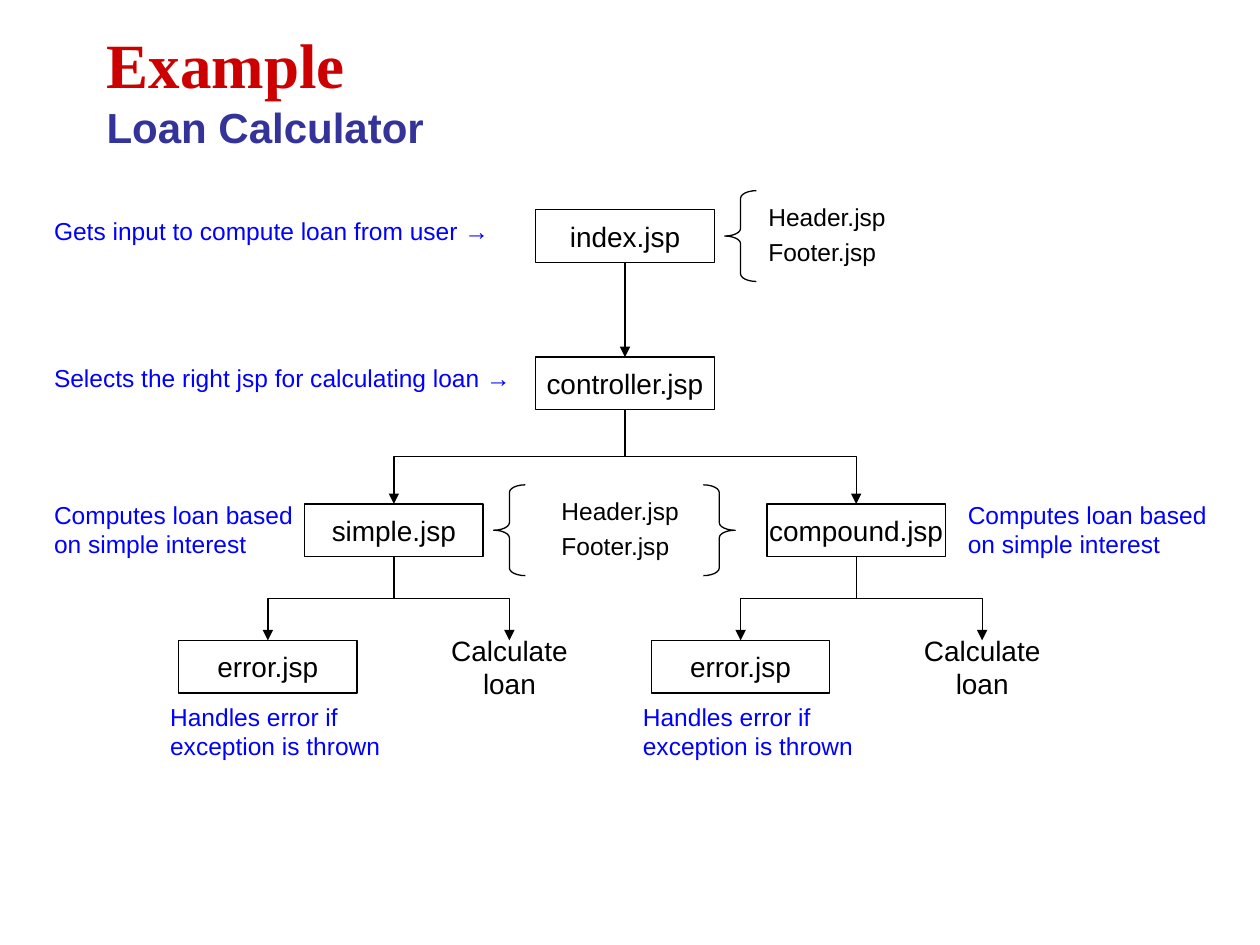
from lxml.etree import SubElement
from pptx import Presentation
from pptx.dml.color import RGBColor
from pptx.enum.shapes import MSO_CONNECTOR, MSO_SHAPE
from pptx.enum.text import MSO_ANCHOR, MSO_AUTO_SIZE, PP_ALIGN
from pptx.oxml.ns import qn
from pptx.util import Cm, Pt

BLACK = RGBColor(0x00, 0x00, 0x00)
BLUE = RGBColor(0x00, 0x00, 0xFF)
RED = RGBColor(0xCC, 0x00, 0x00)
INDIGO = RGBColor(0x33, 0x33, 0x99)

LINE_WIDTH = Pt(0.74)
BOX_WIDTH, BOX_HEIGHT = 3.6, 1.06
BRACE_WIDTH, BRACE_HEIGHT = 0.64, 1.83
INDEX_TOP, CONTROLLER_TOP, LOAN_TOP, RESULT_TOP = 4.23, 7.2, 10.16, 12.91
CENTER = 12.6
BRANCH_OFFSET = 4.66


def format_run(run, size, color, font_name="Arial", bold=False):
    run.font.name = font_name
    run.font.size = Pt(size)
    run.font.bold = bold
    run.font.color.rgb = color


def format_outline(shape):
    shape.fill.background()
    shape.line.color.rgb = BLACK
    shape.line.width = LINE_WIDTH
    shape.shadow.inherit = False


def add_title(slide):
    shape = slide.shapes.add_textbox(Cm(1.9), Cm(0.2), Cm(21.6), Cm(3.18))
    text_frame = shape.text_frame
    text_frame.word_wrap = True
    text_frame.vertical_anchor = MSO_ANCHOR.MIDDLE
    paragraph = text_frame.paragraphs[0]
    paragraph.text = "Example\vLoan Calculator"
    heading, subheading = paragraph.runs
    format_run(heading, 36, RED, "Times New Roman", True)
    format_run(subheading, 24, INDIGO, bold=True)


def add_step(slide, center, top, text, outlined=True):
    place = Cm(center - BOX_WIDTH / 2), Cm(top), Cm(BOX_WIDTH), Cm(BOX_HEIGHT)
    if outlined:
        shape = slide.shapes.add_shape(MSO_SHAPE.RECTANGLE, *place)
        format_outline(shape)
    else:
        shape = slide.shapes.add_textbox(*place)
    text_frame = shape.text_frame
    text_frame.text = text
    text_frame.word_wrap = False
    text_frame.vertical_anchor = MSO_ANCHOR.MIDDLE
    paragraph = text_frame.paragraphs[0]
    paragraph.alignment = PP_ALIGN.CENTER
    paragraph.space_before = Pt(4)
    format_run(paragraph.runs[0], 16, BLACK)


def add_note(slide, left, top, width, height, text, color=BLUE, wrap=True):
    shape = slide.shapes.add_textbox(Cm(left), Cm(top), Cm(width), Cm(height))
    text_frame = shape.text_frame
    text_frame.text = text
    text_frame.word_wrap = wrap
    text_frame.auto_size = MSO_AUTO_SIZE.SHAPE_TO_FIT_TEXT
    for paragraph in text_frame.paragraphs:
        paragraph.space_before = Pt(3.5)
        format_run(paragraph.runs[0], 14, color)


def add_includes(slide, left, top):
    add_note(slide, left, top, 2.9, 1.57, "Header.jsp\nFooter.jsp", BLACK, False)


def add_brace(slide, kind, left, box_top):
    top = box_top + (BOX_HEIGHT - BRACE_HEIGHT) / 2
    shape = slide.shapes.add_shape(
        kind, Cm(left), Cm(top), Cm(BRACE_WIDTH), Cm(BRACE_HEIGHT))
    shape.adjustments[0] = 0.24
    format_outline(shape)


def format_arrow(connector):
    connector.line.color.rgb = BLACK
    connector.line.width = LINE_WIDTH
    properties = connector.line._get_or_add_ln()
    SubElement(properties, qn("a:tailEnd"), type="triangle")
    SubElement(connector._element.spPr, qn("a:effectLst"))


def add_straight_arrow(slide, center, top, bottom):
    connector = slide.shapes.add_connector(
        MSO_CONNECTOR.STRAIGHT, Cm(center), Cm(top), Cm(center), Cm(bottom))
    format_arrow(connector)


def add_elbow_arrow(slide, start, top, end, bottom):
    middle_x, middle_y = (start + end) / 2, (top + bottom) / 2
    half_drop = (bottom - top) / 2
    half_span = abs(end - start) / 2
    direction = 1 if end < start else -1
    connector = slide.shapes.add_connector(
        MSO_CONNECTOR.ELBOW,
        Cm(middle_x - direction * half_drop), Cm(middle_y - half_span),
        Cm(middle_x + direction * half_drop), Cm(middle_y + half_span))
    rotation = 90 if direction == 1 else 270
    connector._element.spPr.xfrm.set("rot", str(rotation * 60000))
    format_arrow(connector)


def add_loan_branch(slide, center, name, error_offset, result_offset):
    add_step(slide, center, LOAN_TOP, name)
    add_elbow_arrow(slide, CENTER, CONTROLLER_TOP + BOX_HEIGHT, center, LOAN_TOP)
    error_center = center + error_offset
    result_center = center + result_offset
    add_step(slide, error_center, RESULT_TOP, "error.jsp")
    add_step(slide, result_center, RESULT_TOP, "Calculate loan", False)
    for end in (error_center, result_center):
        add_elbow_arrow(slide, center, LOAN_TOP + BOX_HEIGHT, end, RESULT_TOP)
    add_note(slide, error_center - 2.22, 14.02, 5.5, 1.45,
             "Handles error if exception is thrown")


def main():
    presentation = Presentation()
    presentation.slide_width = Cm(25.4)
    presentation.slide_height = Cm(19.05)
    slide = presentation.slides.add_slide(presentation.slide_layouts[6])

    add_title(slide)
    add_step(slide, CENTER, INDEX_TOP, "index.jsp")
    add_step(slide, CENTER, CONTROLLER_TOP, "controller.jsp")
    add_straight_arrow(slide, CENTER, INDEX_TOP + BOX_HEIGHT, CONTROLLER_TOP)
    add_loan_branch(slide, CENTER - BRANCH_OFFSET, "simple.jsp", -2.54, 2.33)
    add_loan_branch(slide, CENTER + BRANCH_OFFSET, "compound.jsp", -2.33, 2.54)

    add_brace(slide, MSO_SHAPE.LEFT_BRACE, 14.61, INDEX_TOP)
    add_brace(slide, MSO_SHAPE.LEFT_BRACE, 9.95, LOAN_TOP)
    add_brace(slide, MSO_SHAPE.RIGHT_BRACE, 14.18, LOAN_TOP)
    add_includes(slide, 15.24, 3.94)
    add_includes(slide, 11.07, 9.87)

    add_note(slide, 0.84, INDEX_TOP, 9.73, 0.86,
             "Gets input to compute loan from user →")
    add_note(slide, 0.84, CONTROLLER_TOP, 9.73, 0.86,
             "Selects the right jsp for calculating loan →")
    for left in (0.84, 19.26):
        add_note(slide, left, 9.95, 5.5, 1.45,
                 "Computes loan based on simple interest")

    presentation.save("out.pptx")


main()
